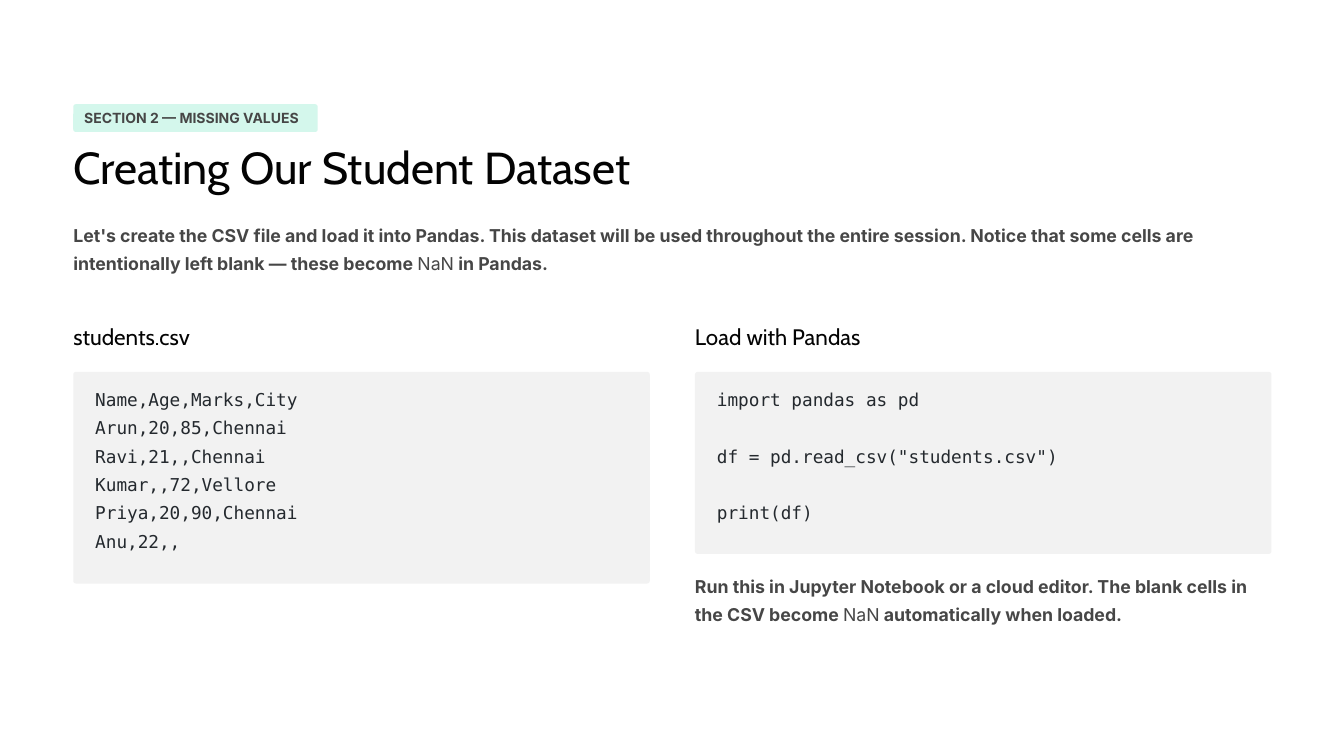
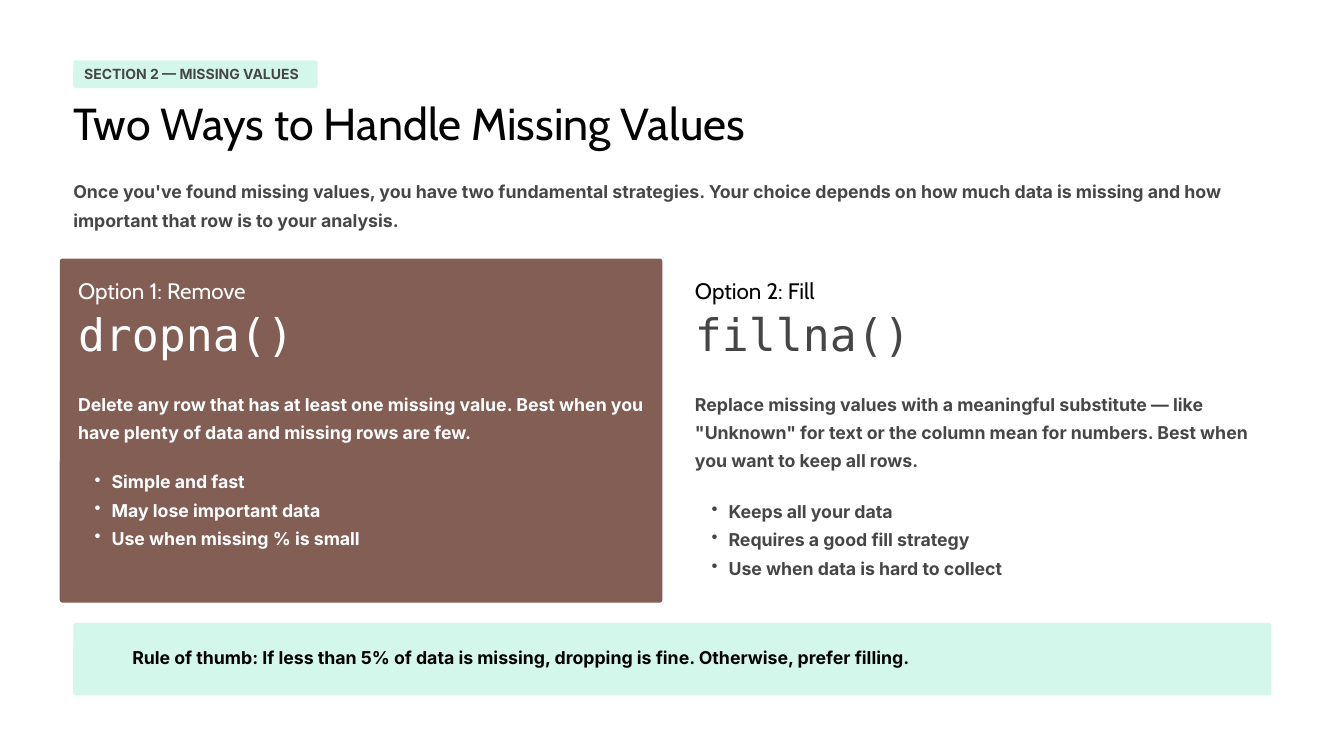
from lxml import etree
from pptx import Presentation
from pptx.dml.color import RGBColor
from pptx.enum.shapes import MSO_SHAPE
from pptx.oxml.ns import qn
from pptx.util import Cm, Pt

ROUND = MSO_SHAPE.ROUNDED_RECTANGLE

HUES = {
    "white": "FFFFFF",
    "mint": "D4F7EC",
    "brown": "835E54",
    "grey": "F2F2F2",
    "title": "030303",
    "body": "464646",
    "code": "24292E",
    "black": "000000",
}
STYLES = {
    "label": ("Inter", 15, True, 17.3),
    "title": ("Cabin", 48, False, 59.9),
    "head": ("Cabin", 24, False, 29.9),
    "body": ("Inter", 19, True, 30.3),
    "code": ("DejaVu Sans Mono", 19, False, 30.3),
    "call": ("DejaVu Sans Mono", 48, False, 59.9),
}
LEFT, WIDE, GAP = 2.77, 45.29, 1.71
COL = (WIDE - GAP) / 2
RIGHT = LEFT + COL + GAP
ROW = 1.12


def color(name):
    return RGBColor.from_string(HUES[name])


def panel(slide, x, y, w, h, hue):
    shape = slide.shapes.add_shape(ROUND, Cm(x), Cm(y), Cm(w), Cm(h))
    shape.shadow.inherit = False
    shape.adjustments[0] = 0.1 / min(w, h)
    shape.fill.solid()
    shape.fill.fore_color.rgb = color(hue)
    shape.line.fill.background()


def dot(para):
    props = para._p.get_or_add_pPr()
    props.set("marL", str(Cm(1.27)))
    props.set("indent", str(-Cm(0.64)))
    etree.SubElement(props, qn("a:buChar")).set("char", "•")


def write(slide, x, y, w, h, lines, style, hue, dots=False):
    face, size, bold, lead = STYLES[style]
    frame = slide.shapes.add_textbox(Cm(x), Cm(y), Cm(w), Cm(h)).text_frame
    frame.word_wrap = True
    frame.margin_left = frame.margin_right = 0
    frame.margin_top = frame.margin_bottom = 0
    para, skip = frame.paragraphs[0], 0
    for i, line in enumerate(lines):
        if not line:
            skip += 1
            continue
        if i:
            para = frame.add_paragraph()
        if dots:
            dot(para)
        para.line_spacing = Pt(lead)
        if skip:
            para.space_before = Pt(lead * skip)
            skip = 0
        for j, part in enumerate(line.split("|")):
            run = para.add_run()
            run.text = part
            run.font.name = face
            run.font.size = Pt(size)
            run.font.bold = bold and j % 2 == 0
            run.font.color.rgb = color(hue)


def header(slide, y, title, intro):
    panel(slide, LEFT, y, 9.24, 1.05, "mint")
    write(slide, LEFT + 0.41, y + 0.22, 10.95, 0.64,
          ["SECTION 2 — MISSING VALUES"], "label", "body")
    write(slide, LEFT, y + 1.27, WIDE, 2.21, [title], "title", "title")
    write(slide, LEFT, y + 4.3, WIDE, 2.45, [intro], "body", "body")


def listing(slide, x, y, title, lines):
    high = 1.28 + len(lines) * ROW
    write(slide, x, y, COL, 1.09, [title], "head", "title")
    panel(slide, x, y + 1.89, COL, high, "grey")
    write(slide, x + 0.83, y + 2.27, COL - 1.66, high - 1.06,
          lines, "code", "code")
    return y + 1.89 + high


def option(slide, x, y, w, title, call, body, rows, points, hues):
    dark, soft = hues
    end = y + 4.17 + rows * ROW + 0.7
    write(slide, x, y, w, 1.09, [title], "head", dark)
    write(slide, x, y + 1.08, w, 2.59, [call], "call", soft)
    write(slide, x, y + 4.17, w, rows * ROW + 0.17, [body], "body", soft)
    write(slide, x, end, w, 3.86, points, "body", soft, dots=True)


def banner(slide, y, note):
    panel(slide, LEFT, y, WIDE, 2.74, "mint")
    write(slide, LEFT + 2.23, y + 0.64, WIDE - 4.46, 1.32,
          [note], "body", "black")


def dataset(slide):
    header(
        slide, 3.94, "Creating Our Student Dataset",
        "Let's create the CSV file and load it into Pandas. This dataset "
        "will be used throughout the entire session. Notice that some cells "
        "are intentionally left blank — these become |NaN| in Pandas.")
    top = 12.17
    listing(slide, LEFT, top, "students.csv", [
        "Name,Age,Marks,City",
        "Arun,20,85,Chennai",
        "Ravi,21,,Chennai",
        "Kumar,,72,Vellore",
        "Priya,20,90,Chennai",
        "Anu,22,,",
    ])
    end = listing(slide, RIGHT, top, "Load with Pandas", [
        "import pandas as pd",
        "",
        'df = pd.read_csv("students.csv")',
        "",
        "print(df)",
    ])
    write(slide, RIGHT, end + 0.57, COL, 2.49, [
        "Run this in Jupyter Notebook or a cloud editor. The blank cells in "
        "the CSV become |NaN| automatically when loaded."], "body", "body")


def choices(slide):
    header(
        slide, 2.28, "Two Ways to Handle Missing Values",
        "Once you've found missing values, you have two fundamental "
        "strategies. Your choice depends on how much data is missing and "
        "how important that row is to your analysis.")
    top = 10.44
    panel(slide, 2.26, top - 0.66, 22.78, 13, "brown")
    option(
        slide, 2.95, top, 21.41, "Option 1: Remove", "dropna()",
        "Delete any row that has at least one missing value. Best when you "
        "have plenty of data and missing rows are few.", 2,
        ["Simple and fast", "May lose important data",
         "Use when missing % is small"], ("white", "white"))
    option(
        slide, RIGHT, top, COL, "Option 2: Fill", "fillna()",
        "Replace missing values with a meaningful substitute — like "
        '"Unknown" for text or the column mean for numbers. Best when '
        "you want to keep all rows.", 3,
        ["Keeps all your data", "Requires a good fill strategy",
         "Use when data is hard to collect"], ("title", "body"))
    banner(slide, 23.55,
           "Rule of thumb: If less than 5% of data is missing, dropping is "
           "fine. Otherwise, prefer filling.")


def main():
    deck = Presentation()
    deck.slide_width, deck.slide_height = Cm(50.8), Cm(28.58)
    for build in (dataset, choices):
        slide = deck.slides.add_slide(deck.slide_layouts[6])
        slide.background.fill.solid()
        slide.background.fill.fore_color.rgb = color("white")
        build(slide)
    deck.save("out.pptx")


if __name__ == "__main__":
    main()
